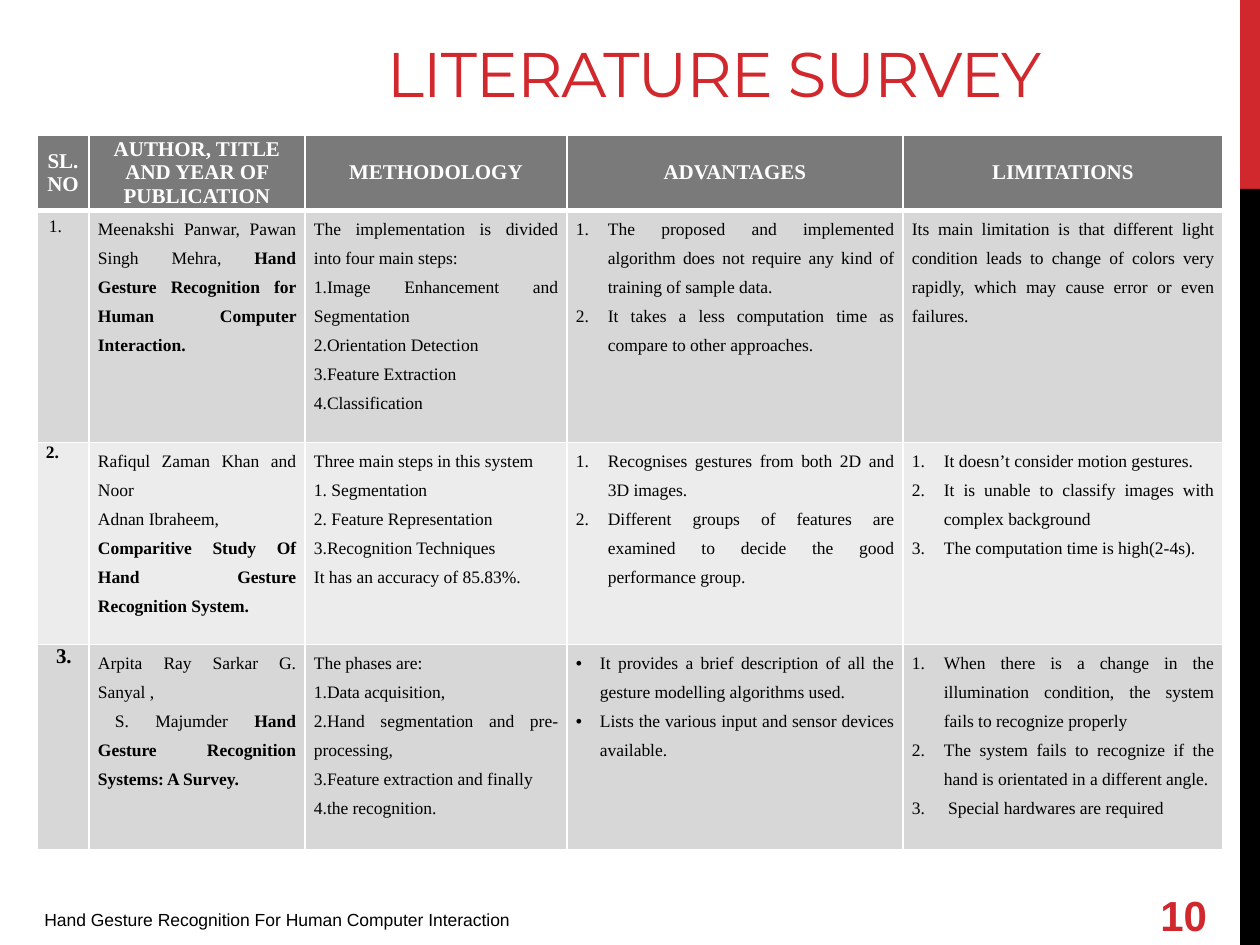
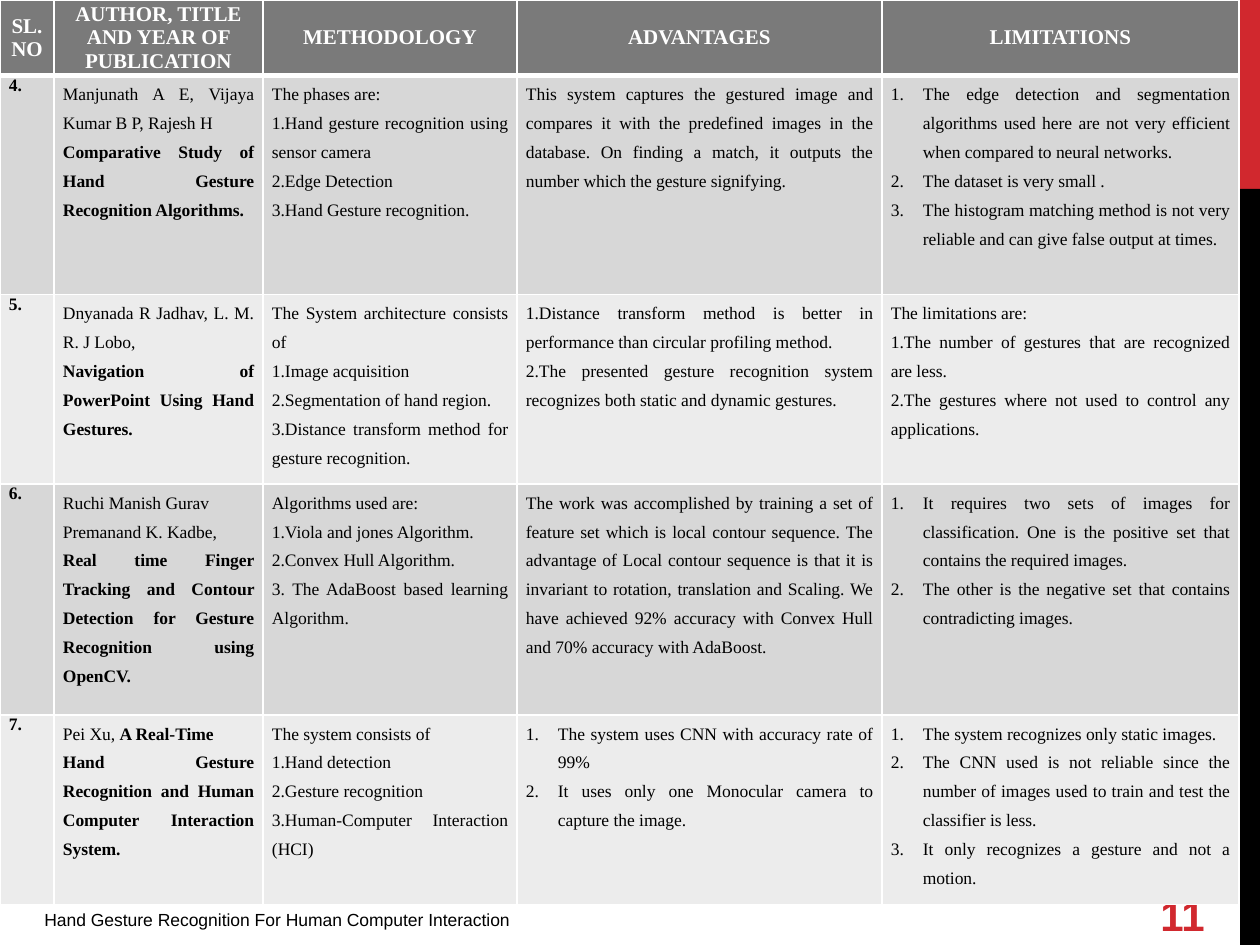
import pptx
import pptx.util
import pptx.dml.color
import pptx.enum.shapes
import pptx.enum.text
import lxml.etree
import pptx.oxml.ns

COLORS = {
    "red": "D1282E",
    "black": "000000",
    "white": "FFFFFF",
    "header": "7A7A7A",
    "odd row": "D7D7D7",
    "even row": "ECECEC",
}
SANS = "Arial"
SERIF = "Times New Roman"
DISPLAY = "Montserrat"
ALIGN = pptx.enum.text.PP_ALIGN
ANCHOR = pptx.enum.text.MSO_ANCHOR
FOOTER = "Hand Gesture Recognition For Human Computer Interaction"
HEADINGS = ["SL.NO", "AUTHOR, TITLE AND YEAR OF PUBLICATION", "METHODOLOGY",
            "ADVANTAGES", "LIMITATIONS"]

# Paragraph marks: "# " numbered, "* " bulleted, "> " first line indented, "**" toggles bold.
FIRST_PAPERS = [
    [
        ["Meenakshi Panwar, Pawan Singh Mehra, **Hand Gesture Recognition for Human Computer Interaction."],
        ["The implementation is divided into four main steps:",
         "1.Image Enhancement and Segmentation",
         "2.Orientation Detection",
         "3.Feature Extraction",
         "4.Classification"],
        ["# The proposed and implemented algorithm does not require any kind of training of sample data.",
         "# It takes a less computation time as compare to other approaches."],
        ["Its main limitation is that different light condition leads to change of colors very rapidly, "
         "which may cause error or even failures."],
    ],
    [
        ["Rafiqul Zaman Khan and Noor",
         "Adnan Ibraheem,",
         "**Comparitive Study Of Hand Gesture Recognition System."],
        ["Three main steps in this system",
         "1. Segmentation",
         "2. Feature Representation",
         "3.Recognition Techniques",
         "It has an accuracy of 85.83%."],
        ["# Recognises gestures from both 2D and 3D images.",
         "# Different groups of features are examined to decide the good performance group."],
        ["# It doesn’t consider motion gestures.",
         "# It is unable to classify images with complex background",
         "# The computation time is high(2-4s)."],
    ],
    [
        ["Arpita Ray Sarkar G. Sanyal ,",
         "> S. Majumder **Hand Gesture Recognition Systems: A Survey."],
        ["The phases are:",
         "1.Data acquisition,",
         "2.Hand segmentation and pre-processing,",
         "3.Feature extraction and finally",
         "4.the recognition."],
        ["* It provides a brief description of all the gesture modelling algorithms used.",
         "* Lists the various input and sensor devices available."],
        ["# When there is a change in the illumination condition, the system fails to recognize properly",
         "# The system fails to recognize if the hand is orientated in a different angle.",
         "#  Special hardwares are required"],
    ],
]
SECOND_PAPERS = [
    [
        ["Manjunath A E, Vijaya Kumar B P, Rajesh H",
         "**Comparative Study of Hand Gesture Recognition Algorithms."],
        ["The phases are:",
         "1.Hand gesture recognition using sensor camera",
         "2.Edge Detection",
         "3.Hand Gesture recognition."],
        ["This system captures the gestured image and compares it with the predefined images in the "
         "database. On finding a match, it outputs the number which the gesture signifying."],
        ["# The edge detection and segmentation algorithms used here are not very efficient when "
         "compared to neural networks.",
         "# The dataset is very small .",
         "# The histogram matching method is not very reliable and can give false output at times."],
    ],
    [
        ["Dnyanada R Jadhav, L. M. R. J Lobo,",
         "**Navigation of PowerPoint Using Hand Gestures."],
        ["The System architecture consists of",
         "1.Image acquisition",
         "2.Segmentation of hand region.",
         "3.Distance transform method for gesture recognition."],
        ["1.Distance transform method is better in performance than circular profiling method.",
         "2.The presented gesture recognition system recognizes both static and dynamic gestures."],
        ["The limitations are:",
         "1.The number of gestures that are recognized are less.",
         "2.The gestures where not used to control any applications."],
    ],
    [
        ["Ruchi Manish Gurav",
         "Premanand K. Kadbe,",
         "**Real time Finger Tracking and Contour Detection for Gesture Recognition using OpenCV."],
        ["Algorithms used are:",
         "1.Viola and jones Algorithm.",
         "2.Convex Hull Algorithm.",
         "3. The AdaBoost based learning Algorithm."],
        ["The work was accomplished by training a set of feature set which is local contour sequence. "
         "The advantage of Local contour sequence is that it is invariant to rotation, translation and "
         "Scaling. We have achieved 92% accuracy with Convex Hull and 70% accuracy with AdaBoost."],
        ["# It requires two sets of images for classification. One is the positive set that contains "
         "the required images.",
         "# The other is the negative set that contains contradicting images."],
    ],
    [
        ["Pei Xu, **A Real-Time",
         "**Hand Gesture Recognition and Human Computer Interaction System."],
        ["The system consists of",
         "1.Hand detection",
         "2.Gesture recognition",
         "3.Human-Computer Interaction (HCI)"],
        ["# The system uses CNN with accuracy rate of 99%",
         "# It uses only one Monocular camera to capture the image."],
        ["# The system recognizes only static images.",
         "# The CNN used is not reliable since the number of images used to train and test the "
         "classifier is less.",
         "# It only recognizes a gesture and not a motion."],
    ],
]


def px(length):
    return pptx.util.Emu(round(length * 914400 / 126))


def rgb(color):
    return pptx.dml.color.RGBColor.from_string(COLORS[color])


class SurveyDeck:
    def __init__(self):
        self.presentation = pptx.Presentation()
        self.presentation.slide_width = px(1260)
        self.presentation.slide_height = px(945)
        self.slide = None

    def add_slide(self, number, title=None):
        layout = self.presentation.slide_layouts[5 if title else 6]
        self.slide = self.presentation.slides.add_slide(layout)
        self.band(0, 189, "red")
        self.band(189, 756, "black")
        self.text(32, 903, 1170, 20, FOOTER, 10, "black")
        self.text(1148, 890, 100, 50, str(number), 24, "red", True, ANCHOR.MIDDLE)
        if title:
            self.title(title)

    def band(self, top, height, color):
        rectangle = pptx.enum.shapes.MSO_SHAPE.RECTANGLE
        shape = self.slide.shapes.add_shape(rectangle, px(1240), px(top), px(20), px(height))
        shape.shadow.inherit = False
        shape.fill.solid()
        shape.fill.fore_color.rgb = rgb(color)
        shape.line.fill.background()

    def run(self, paragraph, text, size, color, font=SERIF, bold=False):
        run = paragraph.add_run()
        run.text = text
        run.font.size = pptx.util.Pt(size)
        run.font.name = font
        run.font.bold = bold
        run.font.color.rgb = rgb(color)
        return run

    def text(self, left, top, width, height, text, size, color, bold=False, anchor=ANCHOR.TOP):
        shape = self.slide.shapes.add_textbox(px(left), px(top), px(width), px(height))
        shape.text_frame.word_wrap = True
        shape.text_frame.vertical_anchor = anchor
        self.run(shape.text_frame.paragraphs[0], text, size, color, SANS, bold)

    def title(self, text):
        shape = self.slide.shapes.title
        shape.left, shape.top, shape.width, shape.height = px(231), px(21), px(966), px(95)
        frame = shape.text_frame
        frame.auto_size = pptx.enum.text.MSO_AUTO_SIZE.NONE
        frame.vertical_anchor = ANCHOR.BOTTOM
        paragraph = frame.paragraphs[0]
        paragraph.alignment = ALIGN.CENTER
        run = self.run(paragraph, text, 36, "red", DISPLAY)
        run.font._element.set("spc", "-60")

    def indent(self, paragraph, left, first):
        properties = paragraph._p.get_or_add_pPr()
        properties.set("marL", str(px(left)))
        properties.set("indent", str(px(first)))
        return properties

    def bullet(self, paragraph, mark):
        if mark == "#":
            properties = self.indent(paragraph, 32, -32)
            number = lxml.etree.SubElement(properties, pptx.oxml.ns.qn("a:buAutoNum"))
            number.set("type", "arabicPeriod")
        elif mark == "*":
            properties = self.indent(paragraph, 24, -24)
            font = lxml.etree.SubElement(properties, pptx.oxml.ns.qn("a:buFont"))
            font.set("typeface", SANS)
            dot = lxml.etree.SubElement(properties, pptx.oxml.ns.qn("a:buChar"))
            dot.set("char", "•")
        else:
            self.indent(paragraph, 0, 17)

    def borders(self, cell, top, bottom):
        properties = cell._tc.get_or_add_tcPr()
        for place, (side, width) in enumerate(zip("LRTB", (1, 1, top, bottom))):
            line = lxml.etree.Element(pptx.oxml.ns.qn("a:ln" + side))
            line.set("w", str(pptx.util.Pt(width)))
            fill = lxml.etree.SubElement(line, pptx.oxml.ns.qn("a:solidFill"))
            color = lxml.etree.SubElement(fill, pptx.oxml.ns.qn("a:srgbClr"))
            color.set("val", COLORS["white"])
            properties.insert(place, line)

    def cell(self, cell, row):
        cell.fill.solid()
        fill = "header" if row == 0 else "odd row" if row % 2 else "even row"
        cell.fill.fore_color.rgb = rgb(fill)
        cell.margin_left = cell.margin_right = px(9)
        cell.margin_top = cell.margin_bottom = 0
        self.borders(cell, 3 if row == 1 else 1, 3 if row == 0 else 1)

    def heading(self, cell, text):
        cell.vertical_anchor = ANCHOR.MIDDLE
        paragraph = cell.text_frame.paragraphs[0]
        paragraph.alignment = ALIGN.CENTER
        self.run(paragraph, text, 12, "white", bold=True)

    def serial(self, cell, number, size=10, bold=True, left=9, top=0):
        cell.margin_left, cell.margin_top = px(left), px(top)
        self.run(cell.text_frame.paragraphs[0], f"{number}.", size, "black", bold=bold)

    def body(self, cell, entries):
        frame = cell.text_frame
        for index, entry in enumerate(entries):
            paragraph = frame.paragraphs[0] if index == 0 else frame.add_paragraph()
            paragraph.alignment = ALIGN.JUSTIFY
            paragraph.line_spacing = 1.5
            if entry[:2] in ("# ", "* ", "> "):
                self.bullet(paragraph, entry[0])
                entry = entry[2:]
            for part, text in enumerate(entry.split("**")):
                if text:
                    self.run(paragraph, text, 10, "black", bold=part % 2 == 1)

    def table(self, left, top, widths, heights, papers, first_number, serial_styles):
        frame = self.slide.shapes.add_table(len(heights), len(widths), px(left), px(top),
                                            px(sum(widths)), px(sum(heights)))
        table = frame.table
        for column, width in zip(table.columns, widths):
            column.width = px(width)
        for row, height in zip(table.rows, heights):
            row.height = px(height)
        for row in range(len(heights)):
            for column in range(len(widths)):
                cell = table.cell(row, column)
                self.cell(cell, row)
                if row == 0:
                    self.heading(cell, HEADINGS[column])
                elif column == 0:
                    number = first_number + row - 1
                    self.serial(cell, number, **serial_styles.get(number, {}))
                else:
                    self.body(cell, papers[row - 1][column - 1])


def main():
    deck = SurveyDeck()
    deck.add_slide(10, "LITERATURE SURVEY")
    deck.table(37, 135, [52, 216, 262, 336, 320], [73, 232, 202, 205], FIRST_PAPERS, 1,
               {1: {"bold": False, "left": 12, "top": 6}, 3: {"size": 12, "left": 19}})
    deck.add_slide(11)
    deck.table(0, 0, [54, 209, 254, 365, 357], [73, 219, 189, 231, 173], SECOND_PAPERS, 4, {})
    deck.presentation.save("out.pptx")


if __name__ == "__main__":
    main()
